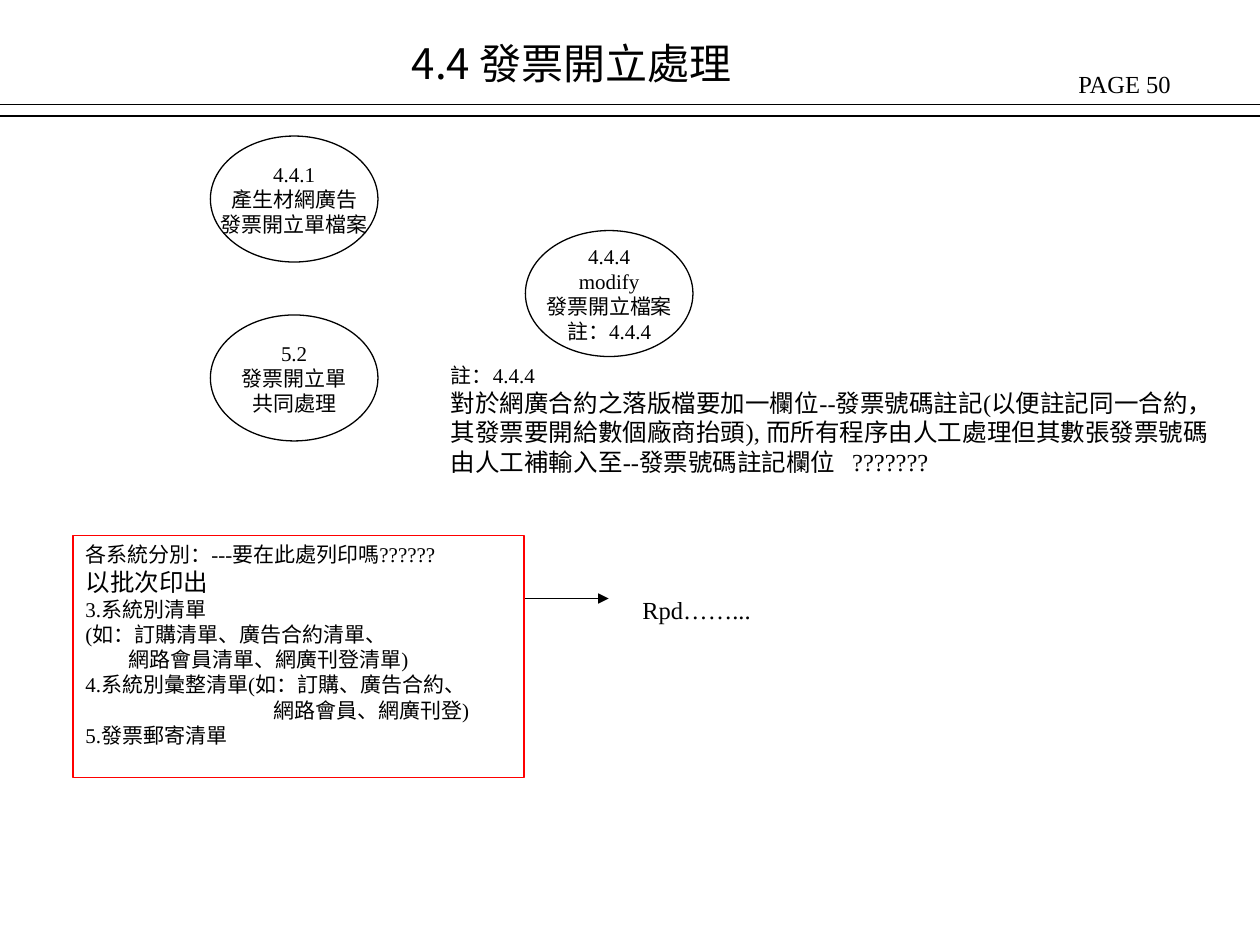
from dataclasses import dataclass

import pptx
import pptx.dml.color
import pptx.enum.shapes
import pptx.enum.text
import pptx.oxml.ns
import pptx.util
from lxml import etree
from pptx.util import Inches

BLACK = pptx.dml.color.RGBColor(0, 0, 0)
RED = pptx.dml.color.RGBColor(255, 0, 0)
SERIF = "Times New Roman"
CJK = "Noto Sans CJK TC"
LINE_WIDTH = pptx.util.Pt(0.75)
SHAPES = pptx.enum.shapes.MSO_SHAPE
ANCHOR = pptx.enum.text.MSO_ANCHOR
ALIGN = pptx.enum.text.PP_ALIGN


@dataclass(frozen=True)
class Line:
    text: str
    size: float = 12
    indent: float = 0
    font: str = SERIF


@dataclass(frozen=True)
class Process:
    left: float
    top: float
    lines: tuple[str, ...]


@dataclass(frozen=True)
class Label:
    left: float
    top: float
    width: float
    height: float
    lines: tuple[Line, ...]


LABELS = (
    Label(8.46, 0.5, 1.57, 0.34, (Line("PAGE 50", 14),)),
    Label(3.17, 0.25, 3.58, 0.5, (Line("4.4 發票開立處理", 24, font=CJK),)),
    Label(5, 4.67, 1.06, 0.34, (Line("Rpd……...", 14),)),
    Label(3.48, 2.83, 6.43, 1, (
        Line("註：4.4.4"),
        Line("對於網廣合約之落版檔要加一欄位--發票號碼註記(以便註記同一合約，", 14),
        Line("其發票要開給數個廠商抬頭), 而所有程序由人工處理但其數張發票號碼", 14),
        Line("由人工補輸入至--發票號碼註記欄位   ???????", 14),
    )),
)
PROCESSES = (
    Process(1.67, 1.08, ("4.4.1", "產生材網廣告", "發票開立單檔案")),
    Process(1.67, 2.5, ("5.2", "發票開立單", "共同處理")),
    Process(4.17, 1.83, ("4.4.4", "modify", "發票開立檔案", "註：4.4.4")),
)
PRINT_LIST = Label(0.58, 4.25, 3.58, 1.92, (
    Line("各系統分別：---要在此處列印嗎??????"),
    Line("以批次印出", 14),
    Line("3.系統別清單"),
    Line("(如：訂購清單、廣告合約清單、"),
    Line("網路會員清單、網廣刊登清單)", indent=0.34),
    Line("4.系統別彙整清單(如：訂購、廣告合約、"),
    Line("網路會員、網廣刊登)", indent=1.49),
    Line("5.發票郵寄清單"),
))


def write_lines(frame, lines, align=ALIGN.LEFT, anchor=ANCHOR.TOP, wrap=False) -> None:
    frame.word_wrap = wrap
    frame.vertical_anchor = anchor
    for number, line in enumerate(lines):
        para = frame.add_paragraph() if number else frame.paragraphs[0]
        para.alignment = align
        if line.indent:
            properties = para._p.get_or_add_pPr()
            properties.set("marL", str(Inches(line.indent)))
            properties.set("indent", "0")
        span = para.add_run()
        span.text = line.text
        font_format = {"name": line.font, "size": pptx.util.Pt(line.size)}
        for attribute, value in font_format.items():
            setattr(span.font, attribute, value)
        span.font.color.rgb = BLACK
        east_asian = etree.SubElement(span._r.rPr, pptx.oxml.ns.qn("a:ea"))
        east_asian.set("typeface", CJK)


def add_label(page, label: Label) -> None:
    box = page.shapes.add_textbox(
        Inches(label.left), Inches(label.top), Inches(label.width), Inches(label.height))
    write_lines(box.text_frame, label.lines)


def add_outline(page, kind, left: float, top: float, width: float, height: float, color):
    """Add an unfilled preset shape."""
    shape = page.shapes.add_shape(
        kind, Inches(left), Inches(top), Inches(width), Inches(height))
    shape.shadow.inherit = False
    shape.fill.background()
    shape.line.color.rgb = color
    shape.line.width = LINE_WIDTH
    return shape


def add_process(page, process: Process) -> None:
    oval = add_outline(page, SHAPES.OVAL, process.left, process.top, 1.33, 1, BLACK)
    lines = [Line(text) for text in process.lines]
    write_lines(oval.text_frame, lines, ALIGN.CENTER, ANCHOR.MIDDLE)


def add_rule(page, start: float, end: float, height: float, arrow: bool = False) -> None:
    """Add a horizontal line, with an arrowhead at its right end if asked."""
    rule = page.shapes.add_connector(
        pptx.enum.shapes.MSO_CONNECTOR.STRAIGHT,
        Inches(start), Inches(height), Inches(end), Inches(height))
    rule.line.color.rgb = BLACK
    rule.line.width = LINE_WIDTH
    if arrow:
        head = etree.SubElement(rule.line._get_or_add_ln(), pptx.oxml.ns.qn("a:tailEnd"))
        head.set("type", "triangle")
    etree.SubElement(rule._element.spPr, pptx.oxml.ns.qn("a:effectLst"))


def main() -> None:
    deck = pptx.Presentation()
    deck.slide_width = Inches(10)
    deck.slide_height = Inches(7.5)
    page = deck.slides.add_slide(deck.slide_layouts[6])

    for height in (0.83, 0.92):
        add_rule(page, 0, 10, height)
    for process in PROCESSES:
        add_process(page, process)
    frame = add_outline(page, SHAPES.RECTANGLE, PRINT_LIST.left, PRINT_LIST.top,
                        PRINT_LIST.width, PRINT_LIST.height, RED)
    write_lines(frame.text_frame, PRINT_LIST.lines, wrap=True)
    add_rule(page, 4.17, 4.83, 4.75, arrow=True)
    for label in LABELS:
        add_label(page, label)

    deck.save("out.pptx")


if __name__ == "__main__":
    main()
